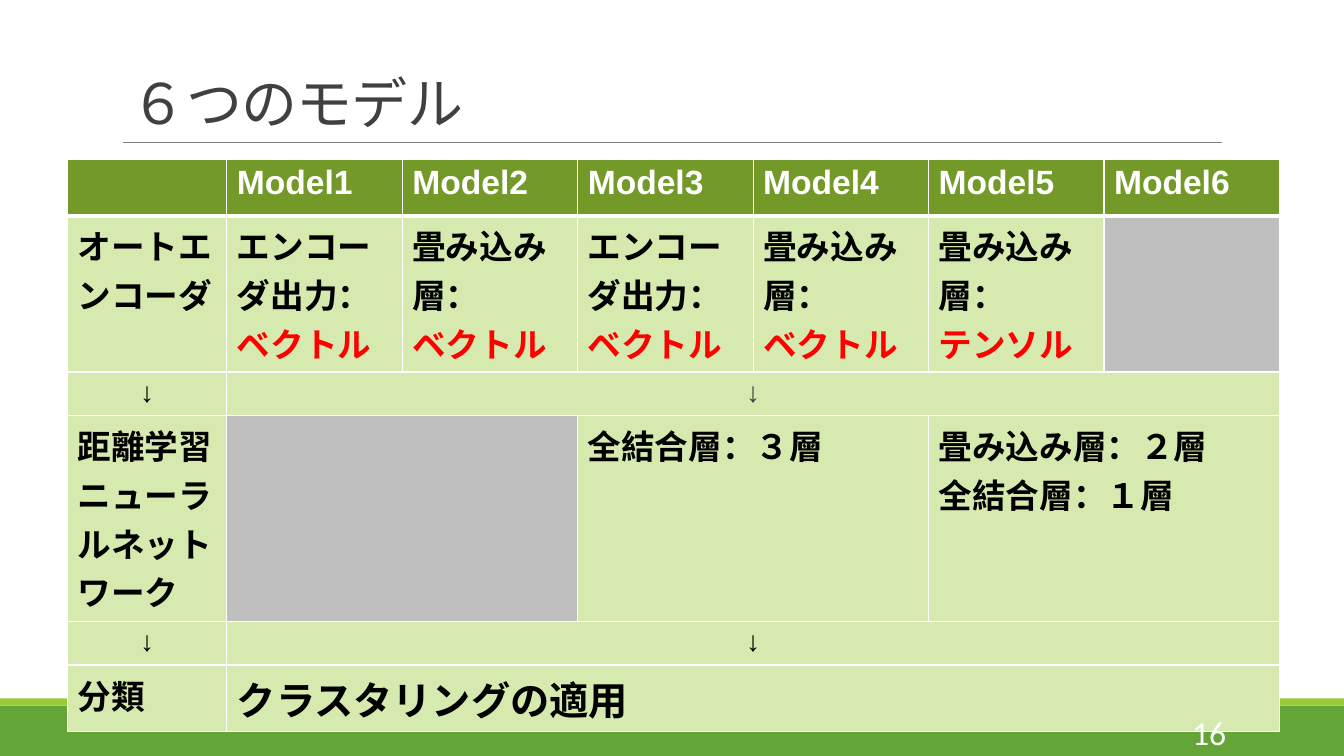
from dataclasses import dataclass

from lxml import etree
from pptx import Presentation
from pptx.dml.color import RGBColor
from pptx.enum import shapes, text
from pptx.oxml import ns
from pptx.util import Inches, Pt

COLORS = {
    "white": "FFFFFF", "black": "000000", "red": "FF0000", "text": "404040",
    "rule": "808080", "band": "63A537", "stripe": "99CB38",
    "header": "739A28", "body": "D6EAAF", "unused": "BFBFBF",
}
LEFT, CENTER, RIGHT = text.PP_ALIGN.LEFT, text.PP_ALIGN.CENTER, text.PP_ALIGN.RIGHT


@dataclass
class Line:
    text: str
    color: str = "black"
    size: int = 24
    bold: bool = True
    align: text.PP_ALIGN = LEFT
    font: str = "Arial"


@dataclass
class Cell:
    lines: tuple[Line, ...] = ()
    fill: str = "body"
    span: int = 1


def rgb(name: str) -> RGBColor:
    return RGBColor.from_string(COLORS[name])


def write(tf, lines: tuple[Line, ...]) -> None:
    for i, line in enumerate(lines):
        p = tf.paragraphs[0] if i == 0 else tf.add_paragraph()
        p.text = line.text
        p.alignment = line.align
        p.font.size = Pt(line.size)
        p.font.name = line.font
        p.font.bold = line.bold
        p.font.color.rgb = rgb(line.color)


def add_bar(slide, top: float, height: float, color: str) -> None:
    sp = slide.shapes.add_shape(shapes.MSO_SHAPE.RECTANGLE, 0, Inches(top),
                                Inches(13.33), Inches(height))
    sp.shadow.inherit = False
    sp.fill.solid()
    sp.fill.fore_color.rgb = rgb(color)
    sp.line.fill.background()


def add_text(slide, box: tuple[float, ...], line: Line, anchor: text.MSO_ANCHOR):
    tf = slide.shapes.add_textbox(*map(Inches, box)).text_frame
    tf.word_wrap = True
    tf.vertical_anchor = anchor
    write(tf, (line,))
    return tf.paragraphs[0]


def set_borders(cell, bottom: float, top: float) -> None:
    tc_pr = cell._tc.get_or_add_tcPr()
    widths = {"lnL": 1, "lnR": 1, "lnT": top, "lnB": bottom}
    for i, (side, width) in enumerate(widths.items()):
        ln = etree.Element(ns.qn(f"a:{side}"), w=str(Pt(width)))
        fill = etree.SubElement(ln, ns.qn("a:solidFill"))
        etree.SubElement(fill, ns.qn("a:srgbClr"), val=COLORS["white"])
        tc_pr.insert(i, ln)


def label(name: str) -> Cell:
    return Cell((Line(name),))


def encoder(layer: str, output: str) -> Cell:
    return Cell((Line(layer), Line(output, "red")))


def arrow_row(color: str) -> list[Cell]:
    return [Cell((Line("↓", c, 20, align=CENTER),), span=n)
            for c, n in (("black", 1), (color, 6))]


ENCODED, CONVOLVED = "エンコーダ出力：", "畳み込み層："
VECTOR, TENSOR = "ベクトル", "テンソル"
ROWS = [
    (0.56, [Cell(fill="header")]
     + [Cell((Line(f"Model{n}", "white"),), "header") for n in range(1, 7)]),
    (1.55, [label("オートエンコーダ"),
            encoder(ENCODED, VECTOR), encoder(CONVOLVED, VECTOR),
            encoder(ENCODED, VECTOR), encoder(CONVOLVED, VECTOR),
            encoder(CONVOLVED, TENSOR), Cell(fill="unused")]),
    (0.41, arrow_row("text")),
    (2.04, [label("距離学習ニューラルネットワーク"), Cell(fill="unused", span=2),
            Cell((Line("全結合層：３層"),), span=2),
            Cell((Line("畳み込み層：２層"), Line("全結合層：１層")), span=2)]),
    (0.41, arrow_row("black")),
    (0.66, [label("分類"), Cell((Line("クラスタリングの適用", size=28),), span=6)]),
]


def add_model_table(slide) -> None:
    height = sum(h for h, _ in ROWS)
    table = slide.shapes.add_table(len(ROWS), 7, Inches(0.67), Inches(1.58),
                                   Inches(12), Inches(height)).table
    table.first_row = table.horz_banding = False
    for i, column in enumerate(table.columns):
        column.width = Inches(1.58 if i == 0 else 1.74)
    for r, (row_height, cells) in enumerate(ROWS):
        table.rows[r].height = Inches(row_height)
        col = 0
        for item in cells:
            for c in range(col, col + item.span):
                cell = table.cell(r, c)
                cell.fill.solid()
                cell.fill.fore_color.rgb = rgb(item.fill)
                set_borders(cell, bottom=3 if r == 0 else 1, top=3 if r == 1 else 1)
            first = table.cell(r, col)
            if item.span > 1:
                first.merge(table.cell(r, col + item.span - 1))
            write(first.text_frame, item.lines)
            col += item.span


def main() -> None:
    prs = Presentation()
    prs.slide_width, prs.slide_height = Inches(13.33), Inches(7.5)
    slide = prs.slides.add_slide(prs.slide_layouts[6])

    # Footer bands and title rule
    add_bar(slide, 7, 0.5, "band")
    add_bar(slide, 6.93, 0.07, "stripe")
    rule = slide.shapes.add_connector(shapes.MSO_CONNECTOR.STRAIGHT, Inches(1.22),
                                      Inches(1.41), Inches(12.12), Inches(1.41))
    rule.line.color.rgb = rgb("rule")
    rule.line.width = Pt(0.5)
    etree.SubElement(rule._element.spPr, ns.qn("a:effectLst"))

    # Title
    p = add_text(slide, (1.2, 0.31, 11, 1.09),
                 Line("６つのモデル", "text", 40, False, font="Calibri"),
                 text.MSO_ANCHOR.BOTTOM)
    p.line_spacing = 0.85
    p.runs[0]._r.get_or_add_rPr().set("spc", "-50")

    # Model comparison and page number
    add_model_table(slide)
    add_text(slide, (10.83, 7.06, 1.43, 0.4),
             Line("16", "white", 24, False, RIGHT, "Calibri"), text.MSO_ANCHOR.MIDDLE)

    prs.save("out.pptx")


if __name__ == "__main__":
    main()
